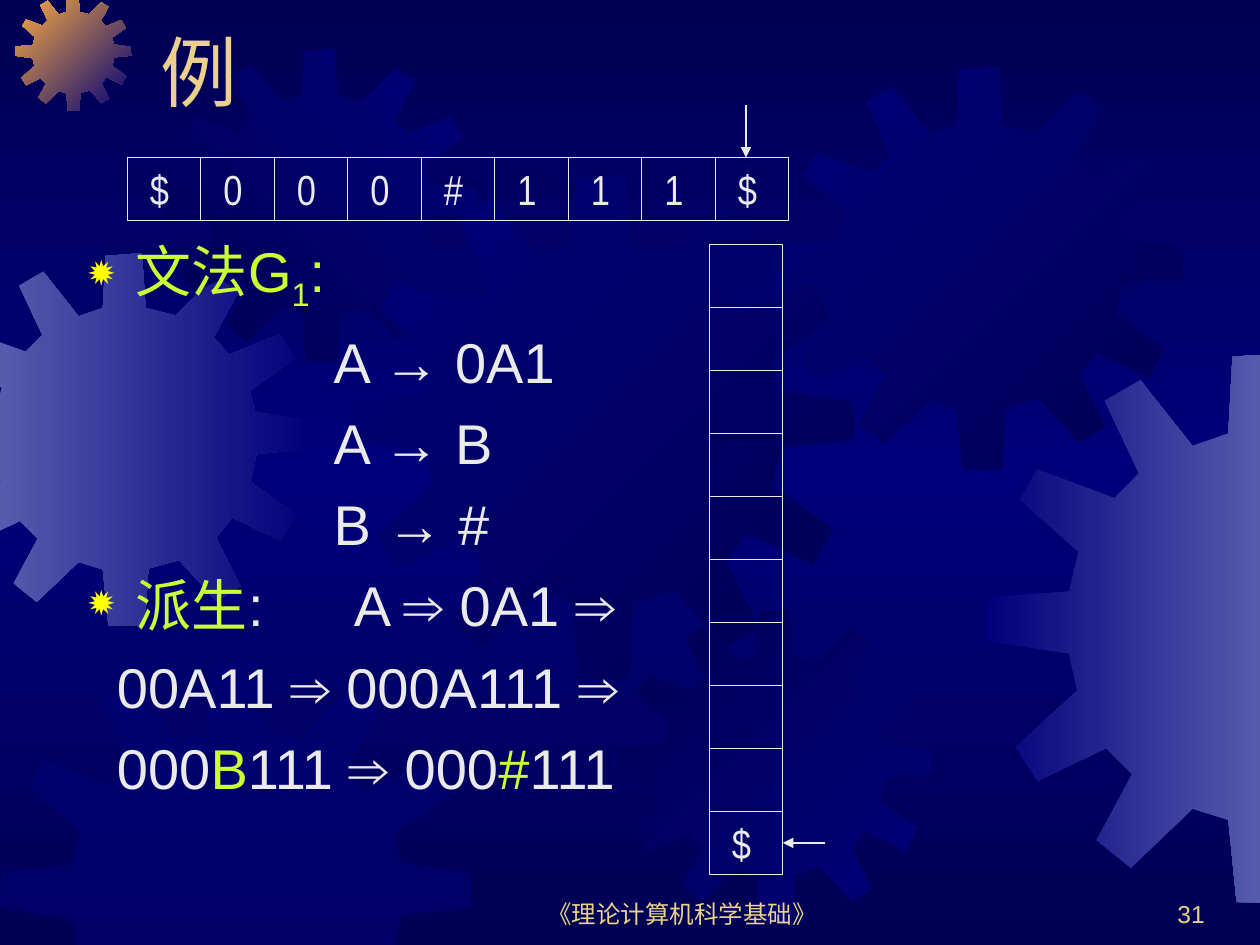
from copy import deepcopy
from typing import NamedTuple

from lxml.etree import SubElement
from pptx import Presentation
from pptx.dml.color import RGBColor
from pptx.enum.shapes import MSO_CONNECTOR, MSO_SHAPE
from pptx.enum.text import MSO_ANCHOR, MSO_AUTO_SIZE, PP_ALIGN
from pptx.oxml.ns import qn
from pptx.util import Inches, Pt

COLORS = {"navy": "000054", "blue": "00007A", "steel": "555BAD", "orange": "FCAB40",
          "gold": "EBD189", "lime": "CCFF33", "pale": "EAEAEA", "yellow": "FFFF00"}
WIDE, HIGH = 10, 7.5
CELL_W, CELL_H = 7 / 12, 0.5

# Gear outline with twelve teeth, in a square of side UNIT
UNIT = 401
TEETH = [
    (255, 67), (223, 59), (219, 0), (180, 3), (177, 59), (151, 68), (113, 20), (87, 35),
    (112, 88), (94, 106), (38, 85), (25, 107), (68, 145), (61, 174), (1, 178), (0, 210),
    (61, 219), (67, 246), (22, 287), (38, 312), (88, 288), (107, 307), (81, 355), (106, 375),
    (151, 332), (177, 340), (183, 400), (222, 401), (226, 339), (259, 330), (299, 374),
    (325, 358), (299, 306), (316, 284), (368, 309), (384, 281), (336, 246), (342, 216),
    (401, 210), (400, 180), (341, 171), (335, 148), (383, 114), (367, 87), (313, 109),
    (296, 91), (323, 41), (297, 25)]


class Gear(NamedTuple):
    left: float
    top: float
    size: float
    start: str
    end: str
    angle: int = 0


class Line(NamedTuple):
    runs: list[tuple[str, str]]
    indent: float = 0
    bullet: bool = False


GEARS = [
    Gear(-0.49, 2.01, 2.96, "steel", "blue"),
    Gear(0.12, -0.04, 0.92, "orange", "blue", 45),
    Gear(1.3, 0.39, 2.48, "navy", "blue", 315),
    Gear(2.77, 1.39, 4.01, "blue", "navy", 45),
    Gear(0, 5.25, 3.74, "blue", "blue"),
    Gear(4.91, 4.84, 2.48, "navy", "blue", 45),
    Gear(6.18, 0.53, 3.2, "blue", "navy", 45),
    Gear(7.82, 2.8, 4.37, "blue", "steel"),
]
LINES = [
    Line([("文法G", "lime"), ("1", "lime"), (":", "lime")], 0.38, True),
    Line([("A → 0A1", "pale")], 1.95),
    Line([("A → B", "pale")], 1.95),
    Line([("B → #", "pale")], 1.95),
    Line([("派生", "lime"), (":\tA ⇒ 0A1 ⇒", "pale")], 0.38, True),
    Line([("00A11 ⇒ 000A111 ⇒", "pale")], 0.23),
    Line([("000", "pale"), ("B", "lime"), ("111 ⇒ 000", "pale"), ("#", "lime"),
          ("111", "pale")], 0.23),
]


def rgb(name: str) -> RGBColor:
    return RGBColor.from_string(COLORS[name])


def shade(fill, start: str, end: str, angle: int) -> None:
    """Fill with a two-colour gradient; the angle runs clockwise."""
    fill.gradient()
    fill.gradient_angle = (360 - angle) % 360
    for stop, name, pos in zip(fill.gradient_stops, (start, end), (0, 1)):
        stop.color.rgb = rgb(name)
        stop.position = pos


def paint_back(slide) -> None:
    shade(slide.background.fill, "navy", "blue", 90)
    stops = slide.element.find(".//" + qn("a:gsLst"))
    stops[1].set("pos", "50000")
    last = deepcopy(stops[0])
    last.set("pos", "100000")
    stops.append(last)


def clip(points: list, axis: int, edge: float, sign: int) -> list:
    """Keep the part of a polygon where sign * (coordinate - edge) >= 0."""
    kept = []
    for a, b in zip(points[-1:] + points, points):
        da, db = (sign * (p[axis] - edge) for p in (a, b))
        if da * db < 0:
            t = da / (da - db)
            kept.append(tuple(m + t * (n - m) for m, n in zip(a, b)))
        if db >= 0:
            kept.append(b)
    return kept


def draw_gear(shapes, gear: Gear) -> None:
    k = gear.size / UNIT
    points = [(gear.left + x * k, gear.top + y * k) for x, y in TEETH]
    for axis, edge, sign in ((0, 0, 1), (0, WIDE, -1), (1, 0, 1), (1, HIGH, -1)):
        points = clip(points, axis, edge, sign)
    first, *rest = [(Inches(x), Inches(y)) for x, y in points]
    pen = shapes.build_freeform(*first)
    pen.add_line_segments(rest)
    shape = pen.convert_to_shape()
    shape.shadow.inherit = False
    shape.line.fill.background()
    if gear.start == gear.end:
        shape.fill.solid()
        shape.fill.fore_color.rgb = rgb(gear.start)
        tint = shape.fill._xPr.find(".//" + qn("a:srgbClr"))
        SubElement(tint, qn("a:alpha"), val="50000")
    else:
        shade(shape.fill, gear.start, gear.end, gear.angle)


def style(par, size: int, color: str, font: str = "Arial") -> None:
    par.font.size, par.font.name = Pt(size), font
    par.font.color.rgb = rgb(color)


def add_note(shapes, left: float, width: float, text: str, align) -> None:
    frame = shapes.add_textbox(Inches(left), Inches(6.92), Inches(width), Inches(0.5)).text_frame
    frame.word_wrap, frame.vertical_anchor = True, MSO_ANCHOR.BOTTOM
    par = frame.paragraphs[0]
    par.text, par.alignment = text, align
    style(par, 14, "gold")


def add_cell(shapes, left: float, top: float, text: str = ""):
    cell = shapes.add_shape(MSO_SHAPE.RECTANGLE, Inches(left), Inches(top),
                            Inches(CELL_W), Inches(CELL_H))
    cell.shadow.inherit = False
    cell.fill.background()
    cell.line.color.rgb, cell.line.width = rgb("pale"), Pt(0.75)
    if text:
        frame = cell.text_frame
        frame.margin_left, frame.margin_right = Inches(0.18), 0
        par = frame.paragraphs[0]
        par.text, par.alignment = text, PP_ALIGN.LEFT
        style(par, 24, "pale", "Arial Narrow")
    return cell


def add_arrow(shapes, x1: float, y1: float, x2: float, y2: float):
    arrow = shapes.add_connector(MSO_CONNECTOR.STRAIGHT, *map(Inches, (x1, y1, x2, y2)))
    arrow.line.color.rgb, arrow.line.width = rgb("pale"), Pt(0.75)
    SubElement(arrow.line._get_or_add_ln(), qn("a:tailEnd"), type="triangle")
    SubElement(arrow.element.spPr, qn("a:effectLst"))
    return arrow


def write_line(par, line: Line) -> None:
    props = par._p.get_or_add_pPr()
    props.set("marL", str(Inches(line.indent)))
    props.set("indent", str(Inches(-line.indent if line.bullet else 0)))
    if line.bullet:
        SubElement(SubElement(props, qn("a:buClr")), qn("a:srgbClr"), val=COLORS["yellow"])
        SubElement(props, qn("a:buSzPct"), val="80000")
        SubElement(props, qn("a:buChar"), char="✹")
        if any("\t" in text for text, _ in line.runs):
            tabs = SubElement(props, qn("a:tabLst"))
            SubElement(tabs, qn("a:tab"), pos=str(Inches(2.11)), algn="l")
    par.font.size, par.font.name = Pt(32), "Arial"
    for text, color in line.runs:
        run = par.add_run()
        run.text, run.font.color.rgb = text, rgb(color)
        if text == "1":
            run.font._element.set("baseline", "-25000")


def main() -> None:
    deck = Presentation()
    deck.slide_width, deck.slide_height = Inches(WIDE), Inches(HIGH)
    slide = deck.slides.add_slide(deck.slide_layouts[5])
    shapes = slide.shapes
    paint_back(slide)
    for gear in GEARS:
        draw_gear(shapes, gear)

    add_note(shapes, 3.83, 3.17, "《理论计算机科学基础》", PP_ALIGN.CENTER)
    add_note(shapes, 7.58, 2.08, "31", PP_ALIGN.RIGHT)

    title = shapes.title
    title.left, title.top, title.width, title.height = map(Inches, (1.17, -0.27, 8.5, 1.25))
    title.text_frame.vertical_anchor = MSO_ANCHOR.BOTTOM
    title.text_frame.auto_size = MSO_AUTO_SIZE.NONE
    head = title.text_frame.paragraphs[0]
    head.text, head.alignment = "例", PP_ALIGN.LEFT
    style(head, 44, "gold")

    frame = shapes.add_textbox(*map(Inches, (0.6, 1.83, 5.99, 5.08))).text_frame
    frame.word_wrap = True
    for i, line in enumerate(LINES):
        par = frame.add_paragraph() if i else frame.paragraphs[0]
        write_line(par, line)
        par.space_before = Pt(8 if i else 0)

    for i, mark in enumerate("$000#111$"):
        add_cell(shapes, 1.01 + i * CELL_W, 1.25, mark)
    add_arrow(shapes, 5.92, 0.83, 5.92, 1.25)

    stack = [add_cell(shapes, 5.63, 1.94 + i * CELL_H, "$" if i == 9 else "") for i in range(10)]
    add_arrow(shapes, 6.55, 6.69, 6.21, 6.69).end_connect(stack[-1], 3)
    deck.save("out.pptx")


if __name__ == "__main__":
    main()
